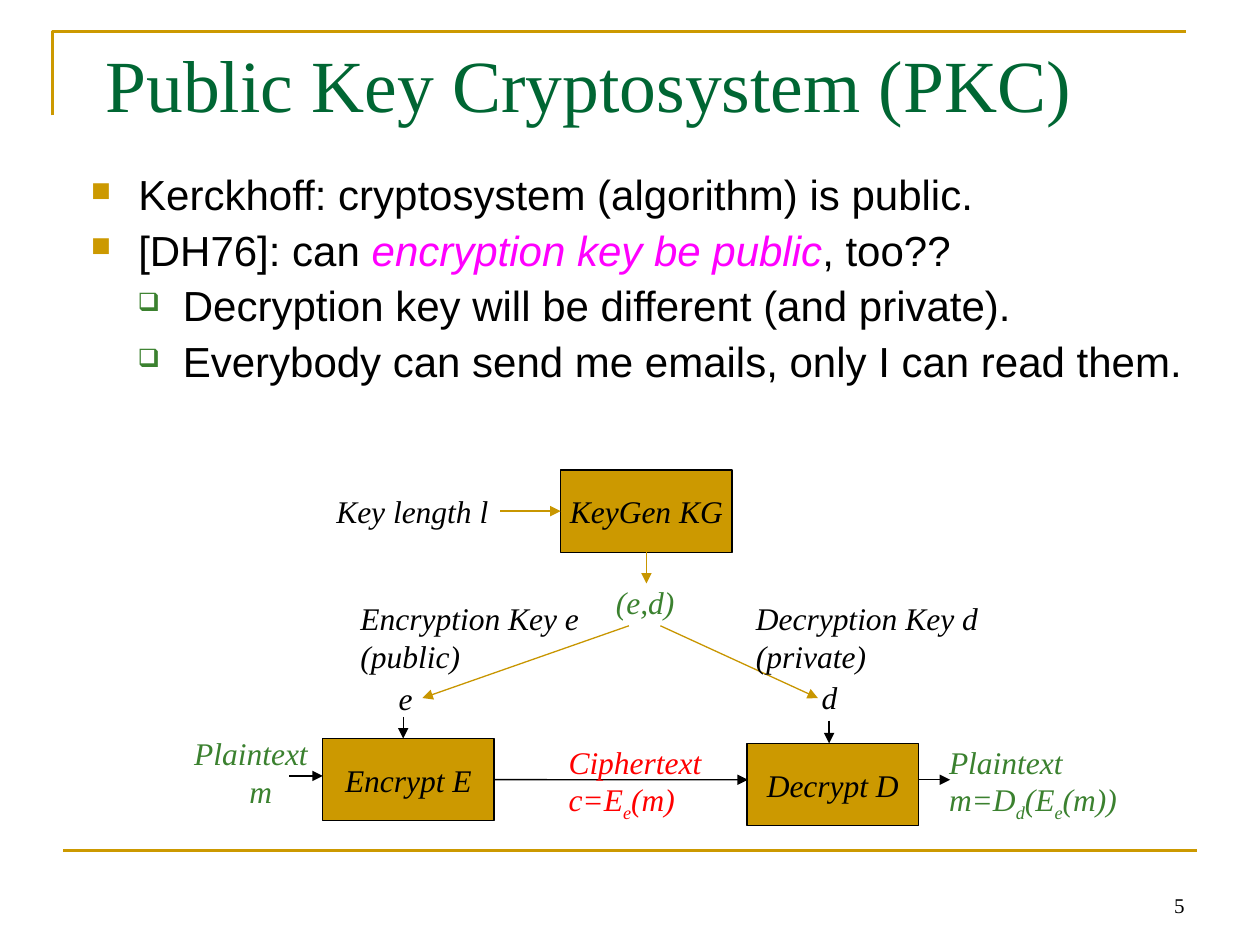
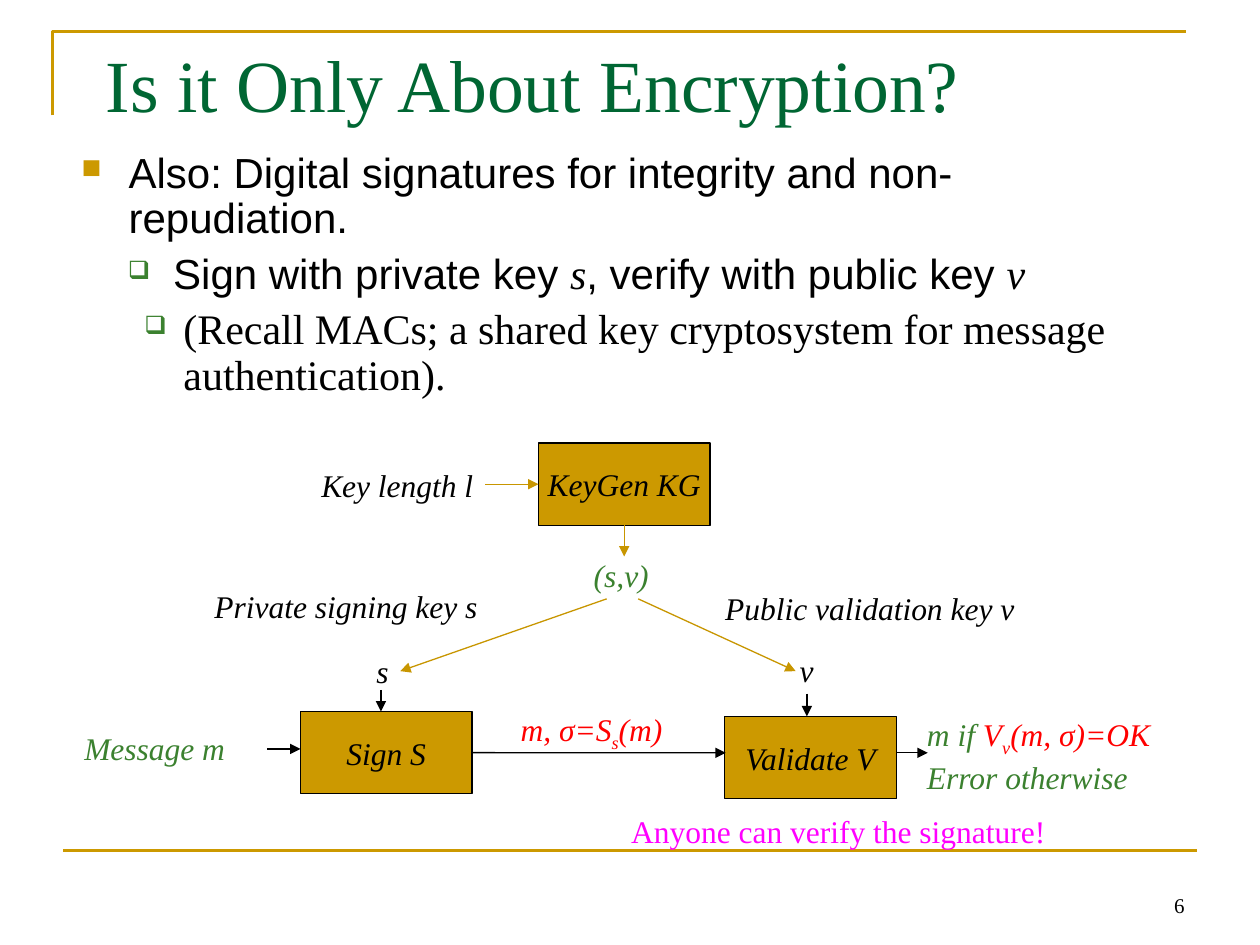
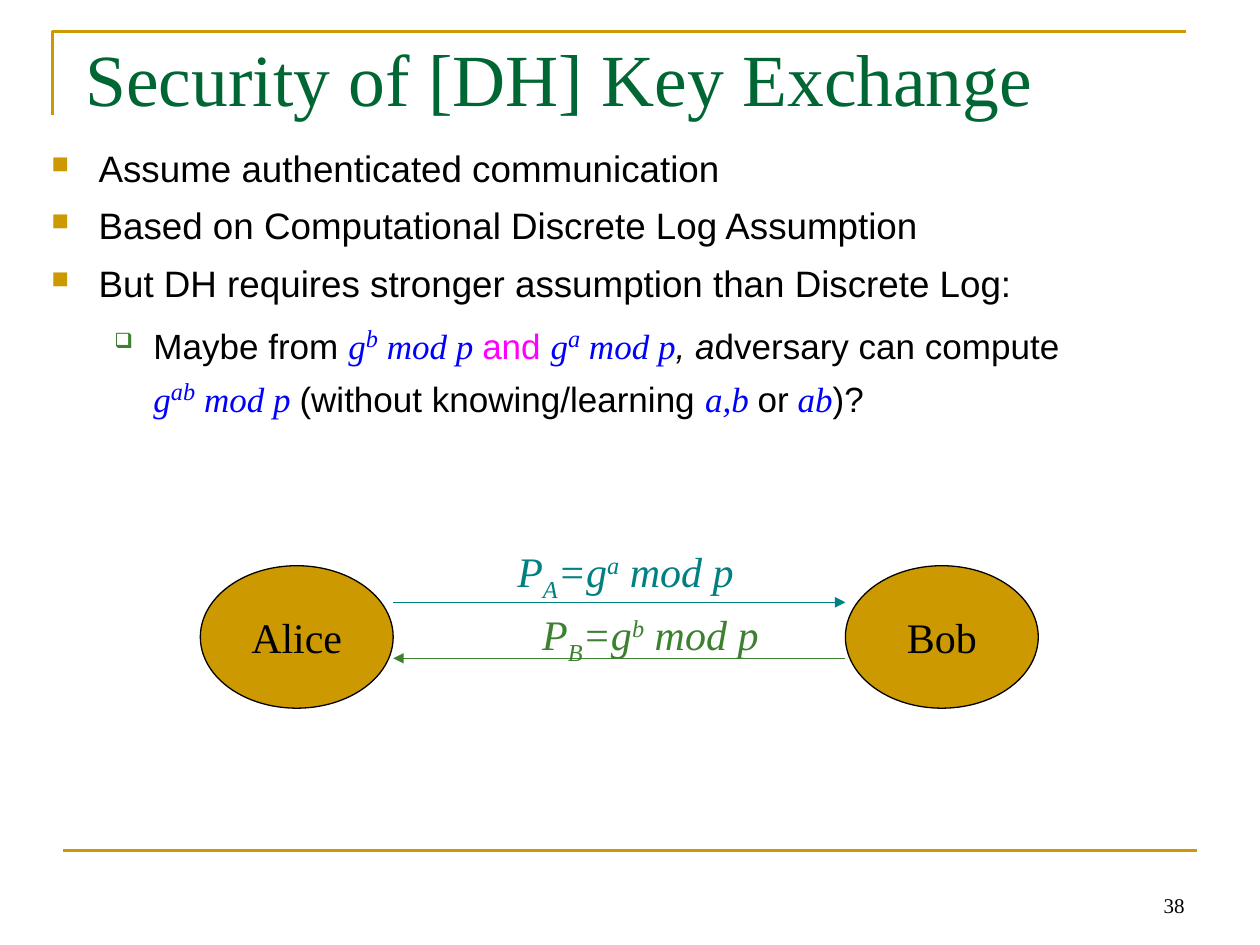
from dataclasses import dataclass

from lxml import etree
from pptx import Presentation
from pptx.dml.color import RGBColor
from pptx.enum import shapes, text
from pptx.oxml import ns
from pptx.util import Pt


@dataclass(frozen=True)
class Theme:
    serif: str = "Times New Roman"
    sans: str = "Arial"
    black: str = "000000"
    gold: str = "CC9900"
    arrow_gold: str = "C89600"
    dark_green: str = "006633"
    green: str = "3B812F"
    teal: str = "008080"
    red: str = "FF0000"
    magenta: str = "FF00FF"
    blue: str = "0000FF"
    title_size: float = 42
    body_size: float = 24
    dense_size: float = 21
    formula_size: float = 20
    label_size: float = 18
    number_size: float = 12
    thin: float = 0.75
    rule: float = 1.5


THEME = Theme()
DIAGRAM_INSET = (5, 3)
DEFAULT_INSET = (7.2, 3.6)
BOX_EXTENT = (98, 47)
LINE_HEIGHT = 27.4

# Bullet character, colour and size in percent for each level
BULLETS = (("■", THEME.gold, 65), ("❑", THEME.green, 60))
# Left margin and hanging indent
FIRST_LEVEL, SECOND_LEVEL, DEEP_LEVEL = (27, -27), (52.5, -25.9), (58.3, -22.3)

MATH = dict(font=THEME.serif, italic=True)
BLUE_MATH = dict(MATH, color=THEME.blue)


def sub(characters):
    return characters, dict(baseline=-25)


def sup(characters, **style):
    return characters, dict(style, baseline=30)


def add_child(parent, tag, **attributes):
    return etree.SubElement(parent, ns.qn(tag), attributes)


def write(paragraph, *runs, size=THEME.label_size, font=THEME.serif,
          color=THEME.black, italic=False, baseline=0):
    """Add runs, each a string or a (string, format changes) pair."""
    base = dict(size=size, font=font, color=color, italic=italic, baseline=baseline)
    for item in runs:
        content, changes = (item, {}) if isinstance(item, str) else item
        style = {**base, **changes}
        for index, piece in enumerate(content.split("\n")):
            if index:
                paragraph.add_line_break()
            if not piece:
                continue
            run = paragraph.add_run()
            run.text = piece
            run.font.size = Pt(style["size"])
            run.font.name = style["font"]
            run.font.italic = style["italic"]
            run.font.color.rgb = RGBColor.from_string(style["color"])
            if style["baseline"]:
                run._r.get_or_add_rPr().set("baseline", str(style["baseline"] * 1000))


def set_indent(paragraph, margin, first=0):
    properties = paragraph._p.get_or_add_pPr()
    properties.set("marL", str(Pt(margin)))
    properties.set("indent", str(Pt(first)))


def fill_frame(frame, lines, inset=DEFAULT_INSET, wrap=False, align=None,
               anchor=text.MSO_ANCHOR.TOP, **style):
    """Write lines, each a string or a list of runs, one paragraph a line."""
    frame.word_wrap = wrap
    frame.vertical_anchor = anchor
    frame.margin_left = frame.margin_right = Pt(inset[0])
    frame.margin_top = frame.margin_bottom = Pt(inset[1])
    for index, line in enumerate(lines):
        paragraph = frame.add_paragraph() if index else frame.paragraphs[0]
        paragraph.alignment = align
        write(paragraph, *([line] if isinstance(line, str) else line), **style)


def add_text(slide, left, top, width, height, *lines, **style):
    box = slide.shapes.add_textbox(Pt(left), Pt(top), Pt(width), Pt(height))
    fill_frame(box.text_frame, lines, **style)
    return box


def add_label(slide, left, top, width, *lines, **style):
    """Italic diagram text that fits its lines."""
    height = LINE_HEIGHT if len(lines) == 1 else 49
    style = {"italic": True, "inset": DIAGRAM_INSET, **style}
    box = add_text(slide, left, top, width, height, *lines, **style)
    box.text_frame.auto_size = text.MSO_AUTO_SIZE.SHAPE_TO_FIT_TEXT
    return box


def add_node(slide, kind, left, top, extent, name, **style):
    node = slide.shapes.add_shape(kind, Pt(left), Pt(top), *map(Pt, extent))
    node.shadow.inherit = False
    node.fill.solid()
    node.fill.fore_color.rgb = RGBColor.from_string(THEME.gold)
    node.line.color.rgb = RGBColor.from_string(THEME.black)
    node.line.width = Pt(THEME.thin)
    fill_frame(node.text_frame, [name], align=text.PP_ALIGN.CENTER,
               anchor=text.MSO_ANCHOR.MIDDLE, **style)
    return node


def add_line(slide, start, end, color, width=THEME.thin):
    line = slide.shapes.add_connector(shapes.MSO_CONNECTOR.STRAIGHT,
                                      *map(Pt, (*start, *end)))
    line.line.color.rgb = RGBColor.from_string(color)
    line.line.width = Pt(width)
    add_child(line._element.spPr, "a:effectLst")
    return line


def add_arrow(slide, start, end, color=THEME.black, leaves=None, enters=None):
    """leaves and enters are (shape, side) pairs to join the ends to."""
    arrow = add_line(slide, start, end, color)
    add_child(arrow.line._get_or_add_ln(), "a:tailEnd", type="triangle")
    if leaves:
        arrow.begin_connect(*leaves)
    if enters:
        arrow.end_connect(*enters)


def add_base(presentation, number, title, title_left=53.3, title_top=18.7):
    slide = presentation.slides.add_slide(presentation.slide_layouts[6])
    builder = slide.shapes.build_freeform(Pt(30), Pt(66))
    builder.add_line_segments([(Pt(30), Pt(18)), (Pt(678), Pt(18))], close=False)
    corner = builder.convert_to_shape()
    corner.shadow.inherit = False
    corner.fill.background()
    corner.line.color.rgb = RGBColor.from_string(THEME.gold)
    corner.line.width = Pt(THEME.rule)
    add_line(slide, (36, 486), (684, 486), THEME.gold, THEME.rule)
    add_text(slide, 516, 492, 168, 36, str(number), size=THEME.number_size, wrap=True,
             align=text.PP_ALIGN.RIGHT, anchor=text.MSO_ANCHOR.BOTTOM)
    add_text(slide, title_left, title_top, 612, 90, title, wrap=True,
             size=THEME.title_size, color=THEME.dark_green)
    return slide


def add_bullets(slide, left, top, width, height, items, spacing=0.9, before=5.8,
                after=0, size=THEME.body_size):
    """items are (indent, run, run, ...) tuples."""
    box = add_text(slide, left, top, width, height, *[runs for _, *runs in items],
                   wrap=True, font=THEME.sans, size=size)
    for index, (paragraph, item) in enumerate(zip(box.text_frame.paragraphs, items)):
        indent = item[0]
        level = 0 if indent == FIRST_LEVEL else 1
        character, color, percent = BULLETS[level]
        paragraph.level = level
        set_indent(paragraph, *indent)
        properties = paragraph._p.get_or_add_pPr()
        add_child(add_child(properties, "a:buClr"), "a:srgbClr", val=color)
        add_child(properties, "a:buSzPct", val=str(percent * 1000))
        add_child(properties, "a:buChar", char=character)
        paragraph.line_spacing = spacing
        paragraph.space_before = Pt(before if index else 0)
        paragraph.space_after = Pt(after)


def add_key_diagram(slide, left, top, sender, receiver, pair, keys, length_offset):
    """Key generator at left, top feeding the sender and the receiver."""
    def at(x, y):
        return left + x, top + y

    def box(x, y, name):
        return add_node(slide, shapes.MSO_SHAPE.RECTANGLE, *at(x, y), BOX_EXTENT, name,
                        italic=True, inset=DIAGRAM_INSET)

    sender_box = box(-136, 153.4, sender)
    box(106.5, 156.2, receiver)
    generator = box(0, 0, "KeyGen KG")

    add_label(slide, *at(length_offset, 9.8), 98.6, "Key length l")
    add_label(slide, *at(26.6, 61.6), 44, pair, color=THEME.green)
    add_label(slide, *at(-97.6, 116.5), 18.5, keys[0])
    add_label(slide, *at(144.2, 115.7), 19.5, keys[1])

    add_arrow(slide, at(length_offset + 98.6, 23.5), at(0, 23.5), THEME.arrow_gold,
              enters=(generator, 1))
    add_arrow(slide, at(49, 47), at(49, 64.8), THEME.arrow_gold, leaves=(generator, 2))
    add_arrow(slide, at(39, 89), at(-79, 130.3), THEME.arrow_gold)
    add_arrow(slide, at(57, 89), at(147, 130.3), THEME.arrow_gold)
    add_arrow(slide, at(-90, 141), at(-90, 153.4))
    add_arrow(slide, at(153.4, 143.2), at(153.4, 156.2))
    add_arrow(slide, at(-155, 174.8), at(-136, 174.8))
    add_arrow(slide, at(-38, 177), at(107, 177), leaves=(sender_box, 3))
    add_arrow(slide, at(204.5, 177), at(222.5, 177))


def public_key_slide(presentation):
    slide = add_base(presentation, 5, "Public Key Cryptosystem (PKC)")
    add_bullets(slide, 44.9, 96.3, 656.6, 344, [
        (FIRST_LEVEL, "Kerckhoff: cryptosystem (algorithm) is public."),
        (FIRST_LEVEL, "[DH76]: can ",
         ("encryption key be public", dict(color=THEME.magenta, italic=True)), ", too??"),
        (SECOND_LEVEL, "Decryption key will be different (and private)."),
        (SECOND_LEVEL, "Everybody can send me emails, only I can read them."),
    ])
    add_key_diagram(slide, 320.4, 268.6, "Encrypt E", "Decrypt D", "(e,d)", "ed", -133.2)
    add_label(slide, 201, 339.2, 137, "Encryption Key e", "(public)")
    add_label(slide, 427, 339.2, 139, "Decryption Key d", "(private)")
    message = add_label(slide, 106, 416.3, 76.3, "Plaintext", "m", color=THEME.green)
    set_indent(message.text_frame.paragraphs[1], 31.5)
    add_label(slide, 319.9, 421.3, 87, "Ciphertext", ["c=E", sub("e"), "(m)"],
              color=THEME.red)
    add_label(slide, 537.3, 421.3, 109.5, "Plaintext",
              ["m=D", sub("d"), "(E", sub("e"), "(m))"], color=THEME.green)


def signature_slide(presentation):
    slide = add_base(presentation, 6, "Is it Only About Encryption?")
    add_bullets(slide, 39.4, 83.4, 634.3, 150.5, [
        (FIRST_LEVEL, "Also: Digital signatures for integrity and non-repudiation."),
        (SECOND_LEVEL, "Sign with private key ", ("s", MATH),
         ", verify with public key ", ("v", MATH)),
        (DEEP_LEVEL, ("(Recall MACs; a shared key cryptosystem for message "
                      "authentication).", dict(font=THEME.serif))),
    ])
    add_key_diagram(slide, 307.7, 253.2, "Sign S", "Validate V", "(s,v)", "sv", -129.1)
    add_label(slide, 117.6, 332.7, 162.7, "Private signing key s", wrap=True)
    add_label(slide, 409.4, 333.6, 209.5, "Public validation key v", wrap=True)
    add_label(slide, 43.2, 413.8, 112.3, "Message m", wrap=True, color=THEME.green)
    add_label(slide, 292.5, 402.7, 92.9, ["m, σ=S", sub("s"), "(m)"], color=THEME.red)
    red = dict(color=THEME.red)
    add_label(slide, 524.7, 405.6, 140.4,
              ["m if ", ("V", red), ("v", dict(red, baseline=-25)), ("(m, σ)=OK", red)],
              "Error otherwise", color=THEME.green)
    add_label(slide, 355.7, 460.8, 272.9, "Anyone can verify the signature!", wrap=True,
              italic=False, color=THEME.magenta)


def key_exchange_slide(presentation):
    slide = add_base(presentation, 38, "Security of [DH] Key Exchange", 41.8, 15.5)

    def power(exponent, ending):
        return [("g", BLUE_MATH), sup(exponent, **BLUE_MATH, size=THEME.body_size),
                (ending, BLUE_MATH)]

    def sized(runs):
        """Give the runs the formula size unless they name their own."""
        pairs = [(run, {}) if isinstance(run, str) else run for run in runs]
        return [(content, {"size": THEME.formula_size, **style})
                for content, style in pairs]

    question = sized([
        "Maybe from ", *power("b", " mod p "), ("and ", dict(color=THEME.magenta)),
        *power("a", " mod p"), (", a", dict(italic=True)), "dversary can compute \n",
        *power("ab", " mod p "), "(without knowing/learning ", ("a,b ", BLUE_MATH),
        "or", (" ab", BLUE_MATH), ")?"])
    add_bullets(slide, 22.3, 78.5, 676, 187, [
        (FIRST_LEVEL, "Assume authenticated communication"),
        (FIRST_LEVEL, "Based on Computational Discrete Log Assumption"),
        (FIRST_LEVEL, "But DH requires stronger assumption than Discrete Log:"),
        (DEEP_LEVEL, *question),
    ], spacing=1.05, before=5, after=1.3, size=THEME.dense_size)

    alice_left, bob_left, party_extent = 114.5, 483.1, (110.2, 81.4)
    for name, left in (("Alice", alice_left), ("Bob", bob_left)):
        add_node(slide, shapes.MSO_SHAPE.OVAL, left, 323.3, party_extent, name,
                 size=THEME.body_size)
    alice_right = alice_left + party_extent[0]
    add_arrow(slide, (alice_right, 344.2), (bob_left, 344.2), THEME.teal)
    add_arrow(slide, (bob_left, 376.2), (alice_right, 376.2), THEME.green)
    for party, left, top, color in (("A", 288.5, 308.2, THEME.teal),
                                    ("B", 302.7, 344.2, THEME.green)):
        add_text(slide, left, top, 140.4, 36,
                 ["P", sub(party), "=g", sup(party.lower()), " mod p"],
                 size=THEME.body_size, color=color, italic=True)


def main():
    presentation = Presentation()
    presentation.slide_width, presentation.slide_height = Pt(720), Pt(540)
    public_key_slide(presentation)
    signature_slide(presentation)
    key_exchange_slide(presentation)
    presentation.save("out.pptx")


if __name__ == "__main__":
    main()
